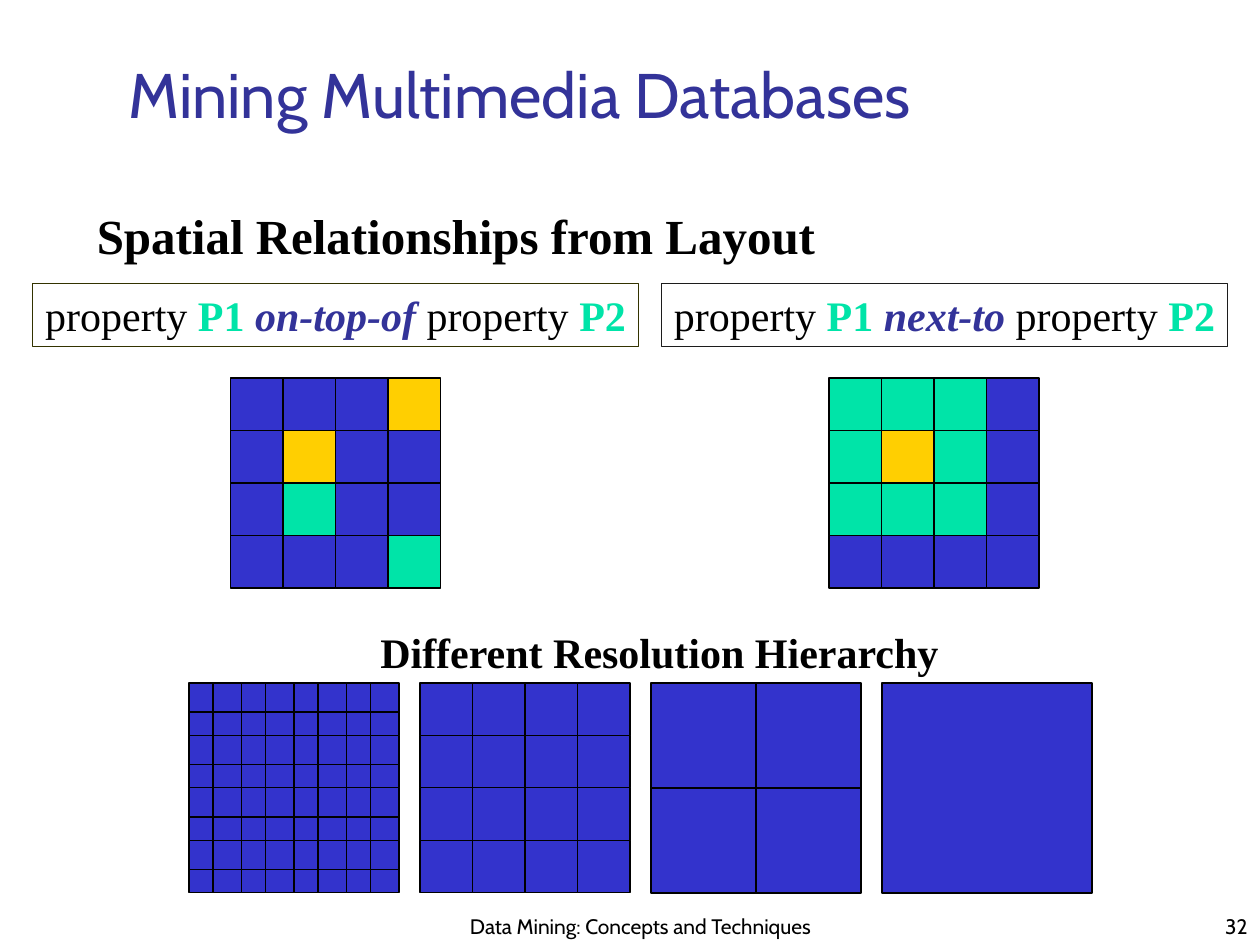
from itertools import product

from pptx import Presentation
from pptx.dml.color import RGBColor
from pptx.enum.shapes import MSO_CONNECTOR, MSO_SHAPE
from pptx.enum.text import MSO_ANCHOR as Anchor, MSO_AUTO_SIZE as AutoSize, PP_ALIGN as Align
from pptx.oxml import parse_xml
from pptx.oxml.ns import nsdecls
from pptx.util import Inches, Pt

BLACK = RGBColor(0x00, 0x00, 0x00)
BLUE = RGBColor(0x33, 0x33, 0xCC)
INDIGO = RGBColor(0x33, 0x33, 0x99)
GREEN = RGBColor(0x00, 0xE4, 0xA8)
YELLOW = RGBColor(0xFF, 0xCF, 0x01)
CHARCOAL = RGBColor(0x1C, 0x1C, 0x1C)
OLIVE = RGBColor(0x33, 0x33, 0x00)

SERIF, SANS = "Times New Roman", "Cabin"
CELL = 5 / 12
PANEL = 4 * CELL
PANEL_GAP = 1 / 6
CELL_COLORS = {"B": BLUE, "G": GREEN, "Y": YELLOW}

PLAIN = dict(name=SERIF, size=Pt(24), color=BLACK, bold=False, italic=False)
HEADING = PLAIN | dict(bold=True)
PROPERTY = PLAIN | dict(color=GREEN, bold=True)
RELATION = PLAIN | dict(color=INDIGO, bold=True, italic=True)
FOOTER = PLAIN | dict(name=SANS, size=Pt(12))
TITLE = PLAIN | dict(name=SANS, size=Pt(36), color=INDIGO)


def inches(*lengths):
    return [Inches(length) for length in lengths]


def write(shape, runs, anchor=Anchor.TOP, align=Align.LEFT, wrap=True):
    """Fill a shape with one paragraph of (text, format) runs."""
    frame = shape.text_frame
    frame.auto_size = AutoSize.NONE
    frame.word_wrap = wrap
    frame.vertical_anchor = anchor
    paragraph = frame.paragraphs[0]
    paragraph.alignment = align
    for text, font_format in runs:
        run = paragraph.add_run()
        run.text = text
        for attribute, value in font_format.items():
            if attribute == "color":
                run.font.color.rgb = value
            else:
                setattr(run.font, attribute, value)


def add_text(shapes, box, text, font_format, **layout):
    write(shapes.add_textbox(*inches(*box)), [(text, font_format)], **layout)


def add_rectangle(shapes, box, fill=None, line=BLACK):
    rectangle = shapes.add_shape(MSO_SHAPE.RECTANGLE, *inches(*box))
    rectangle.shadow.inherit = False
    if fill is None:
        rectangle.fill.background()
    else:
        rectangle.fill.solid()
        rectangle.fill.fore_color.rgb = fill
    rectangle.line.color.rgb = line
    rectangle.line.width = Pt(0.75)
    return rectangle


def add_line(shapes, start, end):
    line = shapes.add_connector(MSO_CONNECTOR.STRAIGHT, *inches(*start, *end))
    line.line.color.rgb = BLACK
    line.line.width = Pt(0.75)
    line._element.spPr.append(parse_xml(f"<a:effectLst {nsdecls('a')}/>"))


def add_grid(shapes, left, top, pattern, split=False):
    """Draw a square panel from rows of colour letters, optionally splitting each cell in four."""
    size = PANEL / len(pattern)
    for row, column in product(range(len(pattern)), repeat=2):
        x, y = left + column * size, top + row * size
        add_rectangle(shapes, (x, y, size, size), CELL_COLORS[pattern[row][column]])
        if split:
            middle_x, middle_y = x + 0.19, y + 0.23
            add_line(shapes, (middle_x, y), (middle_x, y + size))
            add_line(shapes, (x, middle_y), (x + size, middle_y))


def add_relationship(shapes, box, relation, line, grid_left, pattern):
    """Place a framed relationship statement with its example grid below."""
    left, top, width, height = box
    statement = add_rectangle(shapes, box, line=line)
    write(statement, [("property ", PLAIN), ("P1 ", PROPERTY), (relation, RELATION),
                      (" property ", PLAIN), ("P2", PROPERTY)], wrap=False)
    add_grid(shapes, left + grid_left, top + 0.75, pattern)


def add_resolution_hierarchy(shapes, left, top):
    group = shapes.add_group_shape().shapes
    add_text(group, (left + 1.42, top, 4.64, 0.5), "Different Resolution Hierarchy",
             HEADING, wrap=False)
    for index, (count, split) in enumerate([(4, True), (4, False), (2, False), (1, False)]):
        panel_left = left + index * (PANEL + PANEL_GAP)
        add_grid(group, panel_left, top + 0.5, ["B" * count] * count, split)


def add_title(slide, box):
    title = slide.shapes.title
    title.left, title.top, title.width, title.height = inches(*box)
    write(title, [("Mining Multimedia Databases", TITLE)], anchor=Anchor.BOTTOM)


def add_footer(shapes, bottom):
    add_text(shapes, (3.5, bottom - 0.58, 3.17, 0.58), "Data Mining: Concepts and Techniques",
             FOOTER, anchor=Anchor.BOTTOM, align=Align.CENTER)
    add_text(shapes, (7.92, bottom - 0.5, 2.08, 0.5), "32",
             FOOTER, anchor=Anchor.BOTTOM, align=Align.RIGHT)


def main():
    presentation = Presentation()
    presentation.slide_width, presentation.slide_height = inches(10, 7.5)
    slide = presentation.slides.add_slide(presentation.slide_layouts[5])
    shapes = slide.shapes
    add_title(slide, (0.92, 0.42, 8.52, 0.67))
    add_text(shapes, (0.67, 1.58, 6, 0.57), "Spatial Relationships from Layout",
             HEADING | dict(size=Pt(28)))
    add_relationship(shapes, (0.26, 2.25, 4.81, 0.5), "on-top-of", OLIVE, 1.57,
                     ["BBBY", "BYBB", "BGBB", "BBBG"])
    add_relationship(shapes, (5.25, 2.25, 4.49, 0.5), "next-to", CHARCOAL, 1.33,
                     ["GGGB", "GYGB", "GGGB", "BBBB"])
    add_resolution_hierarchy(shapes, 1.5, 4.92)
    add_footer(shapes, 7.5)
    presentation.save("out.pptx")


if __name__ == "__main__":
    main()
